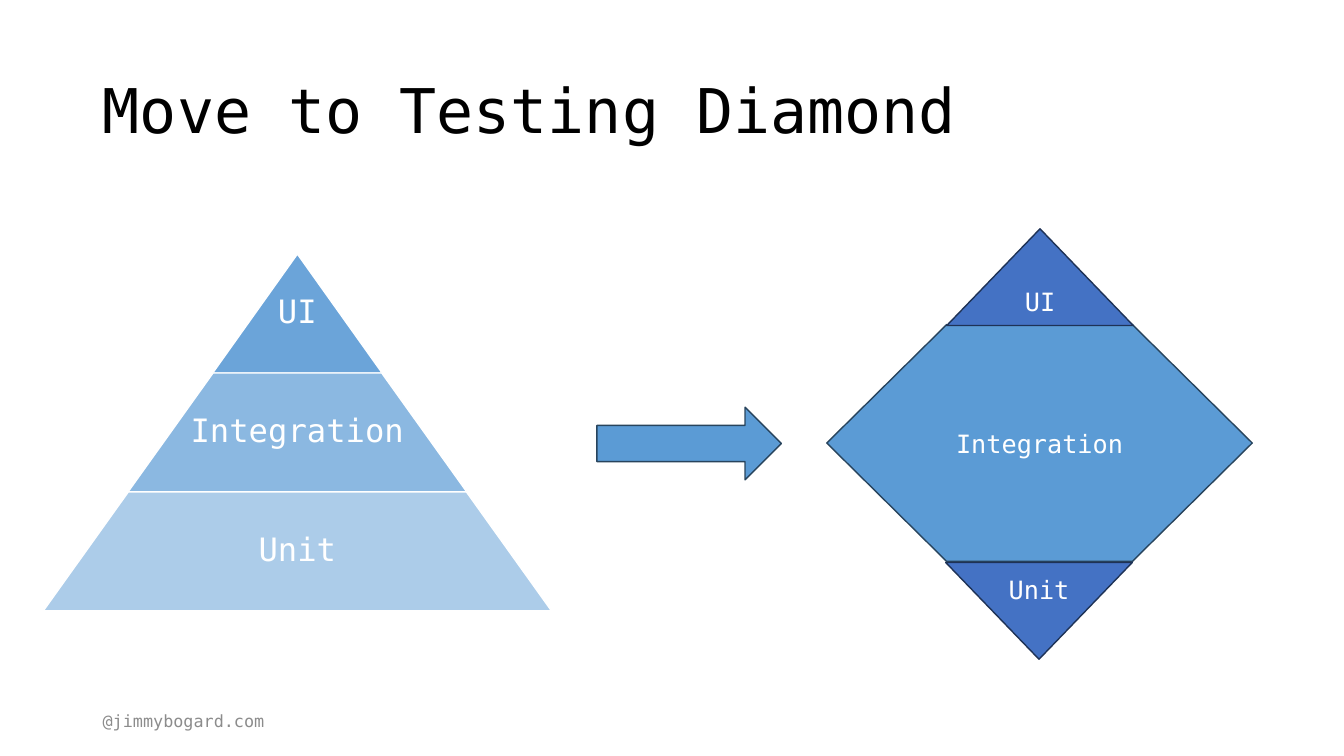
from lxml.etree import SubElement
from pptx import Presentation
from pptx.dml.color import RGBColor
from pptx.enum.shapes import MSO_SHAPE
from pptx.enum.text import MSO_ANCHOR, PP_ALIGN
from pptx.oxml.ns import qn
from pptx.util import Inches, Pt

FONT = "DejaVu Sans Mono"
COLORS = {
    "black": "000000", "white": "FFFFFF", "gray": "8C8C8C",
    "blue": "5B9BD5", "blue_edge": "28445D",
    "indigo": "4472C4", "indigo_edge": "1E3256",
}
TITLE = "Move to Testing Diamond"
FOOTER = "@jimmybogard.com"

# Pyramid tiers from the tip down: label, opacity in percent
TIERS = [("UI", 90), ("Integration", 70), ("Unit", 50)]
PYRAMID_CENTER, PYRAMID_TOP = 2.95, 2.52
TIER_HEIGHT, TIER_STEP, TIER_SLOPE = 1.18, 1.68, 0.715

# Diamond and arrow: preset, place, fill, edge, label, rotation, adjustment
FIGURES = [
    (MSO_SHAPE.HEXAGON, (8.2, 3.22, 4.22, 2.35), "blue", "blue_edge", "Integration", 0, 0.506),
    (MSO_SHAPE.ISOSCELES_TRIANGLE, (9.39, 2.27, 1.85, 0.96), "indigo", "indigo_edge", "UI", 0, None),
    (MSO_SHAPE.ISOSCELES_TRIANGLE, (9.38, 5.58, 1.85, 0.96), "indigo", "indigo_edge", "", 180, None),
    (MSO_SHAPE.RIGHT_ARROW, (5.92, 4.04, 1.83, 0.72), "blue", "blue_edge", "", 0, None),
]
DIAMOND_UNIT = ("Unit", (9.83, 5.65, 0.95, 0.4))


def rgb(name):
    return RGBColor.from_string(COLORS[name])


def write(shape, text, size, color, align=PP_ALIGN.CENTER, spacing=None, inset=None):
    frame = shape.text_frame
    settings = {"word_wrap": True, "vertical_anchor": MSO_ANCHOR.MIDDLE}
    if inset is not None:
        for side in ("left", "right", "top", "bottom"):
            settings[f"margin_{side}"] = Inches(inset)
    for name, value in settings.items():
        setattr(frame, name, value)
    para = frame.paragraphs[0]
    para.alignment = align
    if spacing:
        para.line_spacing = spacing
    span = para.add_run()
    span.text = text
    for name, value in {"name": FONT, "size": Pt(size)}.items():
        setattr(span.font, name, value)
    span.font.color.rgb = rgb(color)


def add_figure(page, preset, place, fill, edge, adjustment=None):
    shape = page.shapes.add_shape(preset, *map(Inches, place))
    shape.shadow.inherit = False
    shape.fill.solid()
    shape.fill.fore_color.rgb = rgb(fill)
    shape.line.color.rgb = rgb(edge)
    shape.line.width = Pt(1)
    if adjustment is not None:
        shape.adjustments[0] = adjustment
    return shape


def set_opacity(shape, percent):
    color = shape.fill._xPr.find(qn("a:solidFill"))[0]
    SubElement(color, qn("a:alpha"), val=str(percent * 1000))


def add_label(page, place, text, size, color, **layout):
    box = page.shapes.add_textbox(*map(Inches, place))
    write(box, text, size, color, **layout)


def add_pyramid(page):
    for index, (label, opacity) in enumerate(TIERS):
        width = TIER_STEP * (index + 1)
        place = (PYRAMID_CENTER - width / 2, PYRAMID_TOP + TIER_HEIGHT * index, width, TIER_HEIGHT)
        tier = add_figure(page, MSO_SHAPE.TRAPEZOID, place, "blue", "white", TIER_SLOPE)
        set_opacity(tier, opacity)
        add_label(page, place, label, 23, "white", spacing=0.9, inset=0.03)


def main():
    deck = Presentation()
    deck.slide_width, deck.slide_height = Inches(13.33), Inches(7.5)
    page = deck.slides.add_slide(deck.slide_layouts[5])

    title = page.shapes.title
    for side, value in zip(("left", "top", "width", "height"), (0.92, 0.4, 11.5, 1.45)):
        setattr(title, side, Inches(value))
    write(title, TITLE, 44, "black", align=PP_ALIGN.LEFT, spacing=0.9)
    add_label(page, (0.92, 6.95, 3, 0.4), FOOTER, 12, "gray", align=PP_ALIGN.LEFT)

    for preset, place, fill, edge, label, rotation, adjustment in FIGURES:
        figure = add_figure(page, preset, place, fill, edge, adjustment)
        figure.rotation = rotation
        if label:
            write(figure, label, 18, "white")
    unit_label, unit_place = DIAMOND_UNIT
    add_label(page, unit_place, unit_label, 18, "white")

    add_pyramid(page)
    deck.save("out.pptx")


if __name__ == "__main__":
    main()
